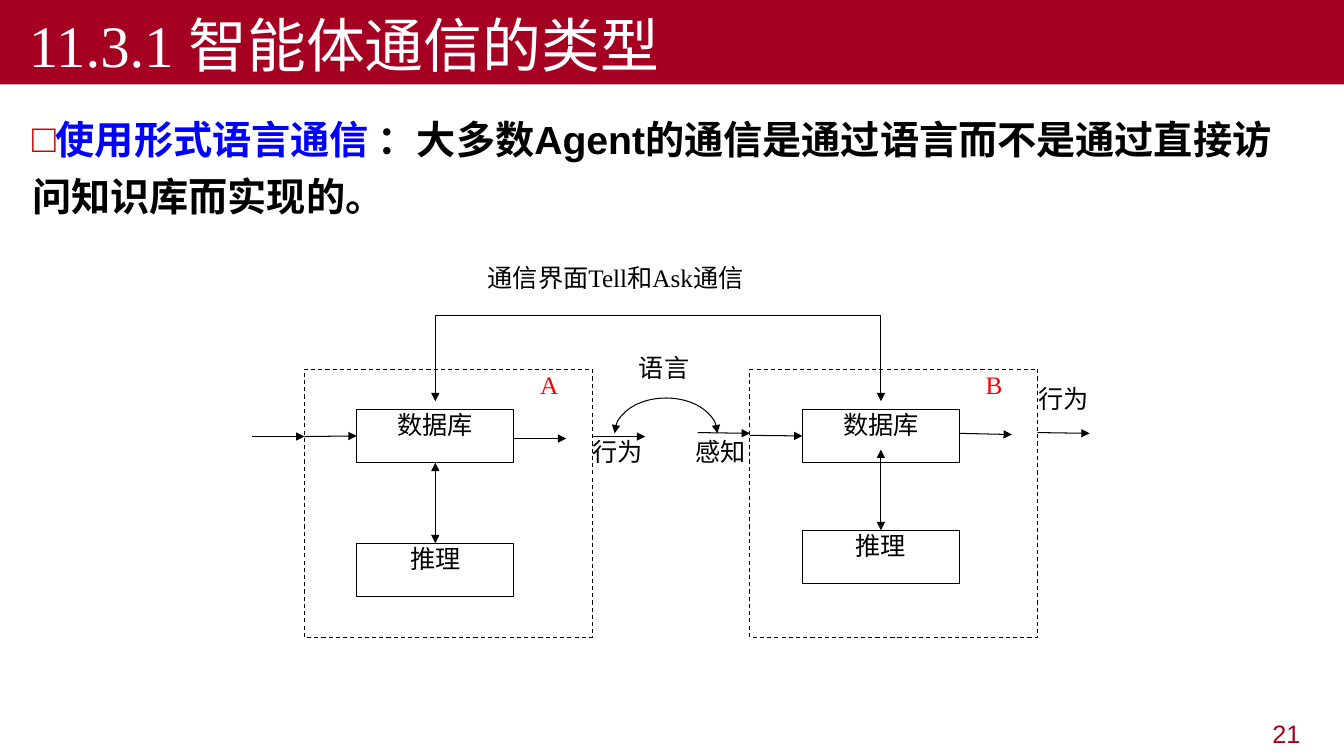
from dataclasses import dataclass

from lxml import etree
from pptx import Presentation
from pptx.dml.color import RGBColor
from pptx.enum.dml import MSO_LINE
from pptx.enum.shapes import MSO_CONNECTOR, MSO_SHAPE
from pptx.enum.text import MSO_ANCHOR, MSO_AUTO_SIZE, PP_ALIGN
from pptx.oxml.ns import qn
from pptx.util import Cm, Pt

STRAIGHT = MSO_CONNECTOR.STRAIGHT
RECTANGLE, PROCESS, ARC = MSO_SHAPE.RECTANGLE, MSO_SHAPE.FLOWCHART_PROCESS, MSO_SHAPE.ARC
DASH = MSO_LINE.DASH
TOP, BOTTOM = MSO_ANCHOR.TOP, MSO_ANCHOR.BOTTOM
LEFT, CENTER, RIGHT, JUSTIFY = PP_ALIGN.LEFT, PP_ALIGN.CENTER, PP_ALIGN.RIGHT, PP_ALIGN.JUSTIFY
NO_AUTOFIT = MSO_AUTO_SIZE.NONE
SIDE_TOP, SIDE_LEFT, SIDE_BOTTOM = 0, 1, 2

COLORS = {
    "crimson": "A50021",
    "bullet": "CC0000",
    "term": "0000FF",
    "agent": "FF0000",
    "black": "000000",
    "white": "FFFFFF",
}
SERIF, SANS = "Times New Roman", "Arial"
SLIDE_WIDTH, SLIDE_HEIGHT = 33.87, 19.05
FRAME_TOP, FRAME_WIDTH, FRAME_HEIGHT = 9.3, 7.26, 6.76
BOX_WIDTH, BOX_HEIGHT, BOX_INDENT, DATABASE_TOP = 3.96, 1.35, 1.32, 10.31
LABEL_WIDTH = 1.98


@dataclass
class Agent:
    name: str
    left: float
    reasoning_top: float
    link_top: float
    input_y: float


@dataclass
class Line:
    start: tuple[float, float]
    end: tuple[float, float]
    head: bool = False
    tail: bool = True


@dataclass
class Label:
    text: str
    left: float
    top: float
    width: float = LABEL_WIDTH
    color: str = "black"


AGENTS = [
    Agent("A", 7.67, 13.69, DATABASE_TOP + BOX_HEIGHT, 11),
    Agent("B", 18.9, 13.36, 11.33, 10.97),
]
LINES = [
    Line((6.35, 11), (7.67, 11)),
    Line((12.95, 11.05), (14.27, 11.05)),
    Line((14.94, 11), (16.26, 11)),
    Line((17.58, 10.9), (18.9, 10.92)),
    Line((24.18, 10.92), (25.5, 10.95)),
    Line((26.14, 10.9), (27.46, 10.92)),
    Line((10.97, 7.95), (10.97, 10.11)),
    Line((10.97, 7.95), (22.2, 7.95), tail=False),
    Line((22.2, 7.95), (22.2, 10.11)),
]
LABELS = [
    Label("通信界面Tell和Ask通信", 12.29, 6.6, 7.26),
    Label("语言", 16.1, 8.89),
    Label("行为", 14.94, 11),
    Label("感知", 17.53, 11),
    Label("行为", 26.16, 9.65),
]


def rgb(name: str) -> RGBColor:
    return RGBColor.from_string(COLORS[name])


def write(para, text: str, *, size: float = 18, color: str = "black",
          font: str = SERIF, bold: bool = False, align=LEFT) -> None:
    para.alignment = align
    span = para.add_run()
    span.text = text
    span.font.size = Pt(size)
    span.font.name = font
    span.font.bold = bold
    span.font.color.rgb = rgb(color)


def place(shape, left: float, top: float, width: float, height: float) -> None:
    shape.left, shape.top, shape.width, shape.height = map(Cm, (left, top, width, height))


def prepare_frame(frame, anchor=TOP, side: float = 0.25, edge: float = 0.13) -> None:
    frame.word_wrap = True
    frame.auto_size = NO_AUTOFIT
    frame.vertical_anchor = anchor
    frame.margin_left = frame.margin_right = Cm(side)
    frame.margin_top = frame.margin_bottom = Cm(edge)


def style_line(shape, head: bool = False, tail: bool = False) -> None:
    shape.line.color.rgb = rgb("black")
    shape.line.width = Pt(0.75)
    line_xml = shape.line._get_or_add_ln()
    for tag, wanted in (("a:headEnd", head), ("a:tailEnd", tail)):
        if wanted:
            etree.SubElement(line_xml, qn(tag), type="triangle")


def add_outline(page, kind, left: float, top: float, width: float, height: float):
    shape = page.shapes.add_shape(kind, Cm(left), Cm(top), Cm(width), Cm(height))
    shape.shadow.inherit = False
    shape.fill.background()
    return shape


def add_process(page, text: str, left: float, top: float):
    box = add_outline(page, PROCESS, left, top, BOX_WIDTH, BOX_HEIGHT)
    box.fill.solid()
    box.fill.fore_color.rgb = rgb("white")
    style_line(box)
    prepare_frame(box.text_frame, edge=0)
    write(box.text_frame.paragraphs[0], text, align=CENTER)
    return box


def add_line(page, line: Line):
    connector = page.shapes.add_connector(STRAIGHT, *map(Cm, (*line.start, *line.end)))
    style_line(connector, line.head, line.tail)
    etree.SubElement(connector._element.spPr, qn("a:effectLst"))
    return connector


def add_label(page, label: Label) -> None:
    box = page.shapes.add_textbox(Cm(label.left), Cm(label.top), Cm(label.width), Cm(BOX_HEIGHT))
    prepare_frame(box.text_frame, side=0, edge=0)
    write(box.text_frame.paragraphs[0], label.text, color=label.color, align=JUSTIFY)


def add_agent(page, agent: Agent) -> None:
    frame = add_outline(page, RECTANGLE, agent.left, FRAME_TOP, FRAME_WIDTH, FRAME_HEIGHT)
    style_line(frame)
    frame.line.dash_style = DASH
    box_left = agent.left + BOX_INDENT
    database = add_process(page, "数据库", box_left, DATABASE_TOP)
    reasoning = add_process(page, "推理", box_left, agent.reasoning_top)
    middle = box_left + BOX_WIDTH / 2
    link = add_line(page, Line((middle, agent.link_top), (middle, agent.reasoning_top), head=True))
    if agent.link_top == DATABASE_TOP + BOX_HEIGHT:
        link.begin_connect(database, SIDE_BOTTOM)
    link.end_connect(reasoning, SIDE_TOP)
    entry = add_line(page, Line((agent.left, agent.input_y), (box_left, agent.input_y)))
    entry.end_connect(database, SIDE_LEFT)
    add_label(page, Label(agent.name, agent.left + 5.94, FRAME_TOP, color="agent"))


def fill_title(title) -> None:
    place(title, 0, 0, SLIDE_WIDTH, 2.13)
    title.fill.solid()
    title.fill.fore_color.rgb = rgb("crimson")
    prepare_frame(title.text_frame, BOTTOM)
    para = title.text_frame.paragraphs[0]
    properties = para._p.get_or_add_pPr()
    properties.set("marL", "0")
    properties.set("indent", str(Cm(0.48)))
    write(para, "11.3.1 智能体通信的类型", size=42, color="white")


def fill_body(body) -> None:
    place(body, 0.56, 2.54, 32.03, 4.65)
    prepare_frame(body.text_frame)
    para = body.text_frame.paragraphs[0]
    properties = para._p.get_or_add_pPr()
    properties.set("marL", "0")
    properties.set("indent", "0")
    bullet_color = etree.SubElement(properties, qn("a:buClr"))
    etree.SubElement(bullet_color, qn("a:srgbClr"), val=COLORS["bullet"])
    etree.SubElement(properties, qn("a:buChar"), char="□")
    para.line_spacing = 1.2
    para.space_before = Pt(0)
    write(para, "使用形式语言通信 ", size=28, color="term", font=SANS, bold=True)
    write(para, "：大多数Agent的通信是通过语言而不是通过直接访问知识库而实现的。",
          size=28, font=SANS, bold=True)


def main() -> None:
    deck = Presentation()
    deck.slide_width, deck.slide_height = Cm(SLIDE_WIDTH), Cm(SLIDE_HEIGHT)
    page = deck.slides.add_slide(deck.slide_layouts[1])
    fill_title(page.shapes.title)
    fill_body(page.placeholders[1])
    for agent in AGENTS:
        add_agent(page, agent)
    for line in LINES:
        add_line(page, line)
    language = add_outline(page, ARC, 15.49, 10.03, 2.59, 1.78)
    language.adjustments[0], language.adjustments[1] = 108.0, 0.0
    style_line(language, head=True, tail=True)
    for label in LABELS:
        add_label(page, label)
    number = page.shapes.add_textbox(Cm(25.68), Cm(17.98), Cm(7.34), Cm(0.99))
    prepare_frame(number.text_frame)
    write(number.text_frame.paragraphs[0], "21", color="crimson", font=SANS, align=RIGHT)
    deck.save("out.pptx")


if __name__ == "__main__":
    main()
